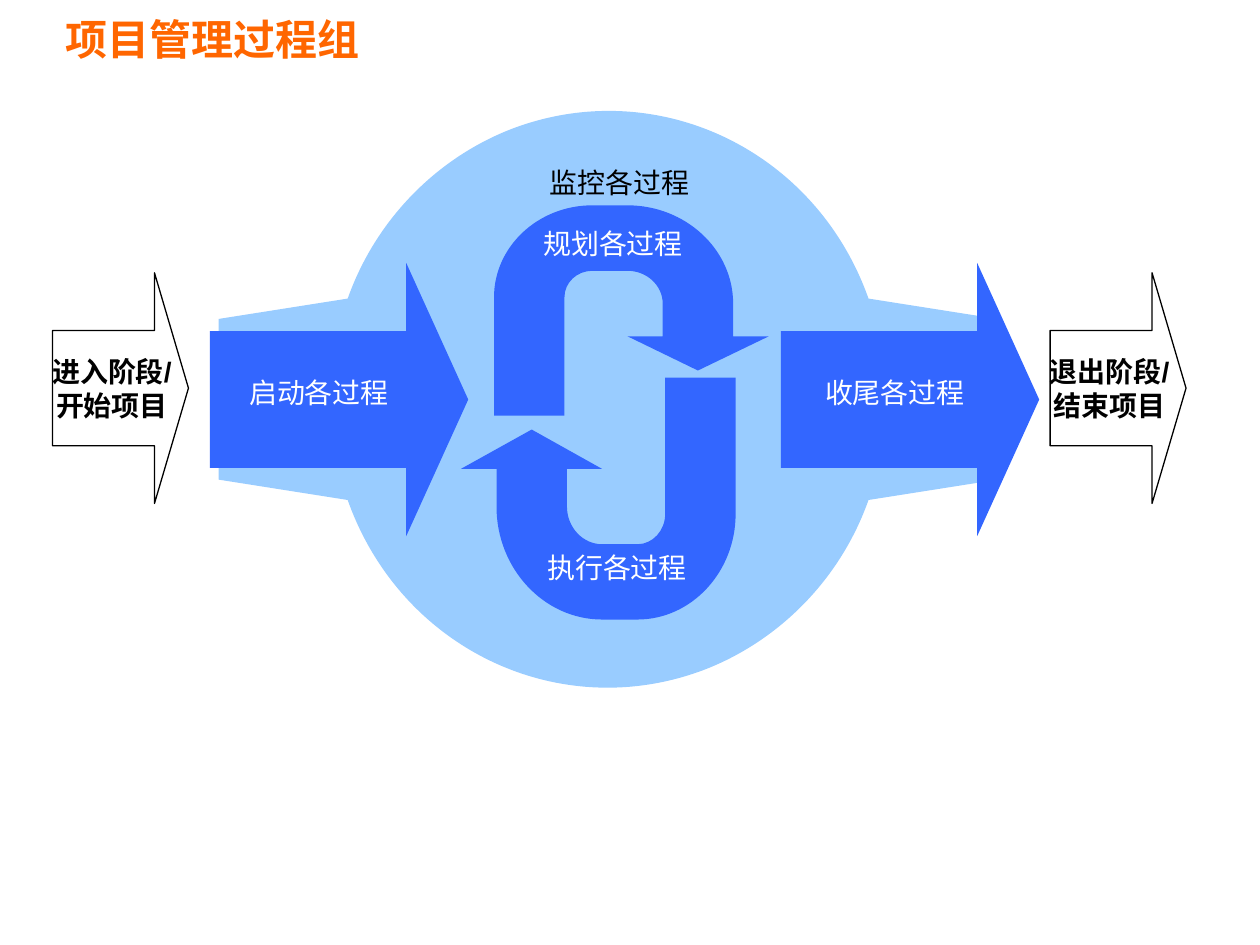
from lxml import etree
from pptx import Presentation
from pptx.dml.color import RGBColor
from pptx.enum.shapes import MSO_SHAPE
from pptx.enum.text import MSO_ANCHOR, PP_ALIGN
from pptx.oxml.ns import qn
from pptx.util import Cm, Pt

ARROW = MSO_SHAPE.RIGHT_ARROW
MIDDLE = MSO_ANCHOR.MIDDLE
CENTER, LEFT = PP_ALIGN.CENTER, PP_ALIGN.LEFT
ORANGE = RGBColor(0xFF, 0x66, 0x00)
BLUE = RGBColor(0x33, 0x66, 0xFF)
SKY = RGBColor(0x99, 0xCC, 0xFF)
WHITE = RGBColor(0xFF, 0xFF, 0xFF)
BLACK = RGBColor(0, 0, 0)
SANS, CJK = "Arial", "Noto Sans CJK SC"
ROUND = 0.55  # pull of a quarter bend towards its corner

# Content, lengths in cm
TITLE = "项目管理过程组"
GATES = [  # left edge, lines
    (1.06, ["进入阶段/", "开始项目"]),
    (21.17, ["退出阶段/", "结束项目"]),
]
STAGES = [4.23, 15.74]  # left edges of the blue arrows
HOOKS = [  # corner x, y and scale x, y
    (14.83, 12.49, -1, -1.15),
    (9.96, 4.14, 1, 1),
]
LABELS = [  # left, top, text, colour
    (5.02, 7.57, "启动各过程", WHITE),
    (16.63, 7.57, "收尾各过程", WHITE),
    (10.95, 4.57, "规划各过程", WHITE),
    (11.03, 11.1, "执行各过程", WHITE),
    (11.08, 3.34, "监控各过程", BLACK),
]

# Outlines: a step of one point is a line, of two (corner, end) a quarter
# bend, of three (control, control, end) a free curve
DISC = [  # upper half, about the middle
    [(5.25, -2.03)],
    [(4.18, -5.05), (0.95, -6.57), (-1.97, -5.44)],
    [(-3.47, -4.85), (-4.69, -3.61), (-5.25, -2.03)],
    [(-7.85, -1.62)],
    [(-7.85, 1.62)],
]
HOOK = [  # from the top left corner
    [(1.98, 1.32)],
    [(1.42, 1.32), (1.42, 1.85)],
    [(1.42, 4.24)],
    [(0, 4.24)],
    [(0, 1.85)],
    [(0, 0), (1.98, 0)],
    [(2.69, 0)],
    [(4.82, 0), (4.82, 1.98)],
    [(4.82, 2.64)],
    [(5.54, 2.64)],
    [(4.11, 3.33)],
    [(2.69, 2.64)],
    [(3.4, 2.64)],
    [(3.4, 1.98)],
    [(3.4, 1.32), (2.69, 1.32)],
]

deck = Presentation()
deck.slide_width, deck.slide_height = Cm(25.4), Cm(19.05)
slide = deck.slides.add_slide(deck.slide_layouts[5])
shapes = slide.shapes


def write(frame, lines, size, font, color, bold=False, align=CENTER):
    for i, line in enumerate(lines):
        para = frame.paragraphs[0] if i == 0 else frame.add_paragraph()
        para.alignment = align
        run = para.add_run()
        run.text = line
        run.font.size, run.font.bold = Pt(size), bold
        run.font.name = font
        run.font.color.rgb = color
        east = etree.SubElement(run.font._element, qn("a:ea"))
        east.set("typeface", CJK)


def paint(shape, color):
    shape.shadow.inherit = False
    shape.fill.solid()
    shape.fill.fore_color.rgb = color
    shape.line.fill.background()


def place(steps, x, y, sx=1, sy=1):
    return [[(x + sx * px, y + sy * py) for px, py in step] for step in steps]


def pull(start, corner):
    return tuple(s + ROUND * (c - s) for s, c in zip(start, corner))


def trace(steps, color):
    full, last = [], None
    for step in steps:
        if len(step) == 2:
            corner, end = step
            step = [pull(last, corner), pull(end, corner), end]
        full.append(step)
        last = step[-1]
    first, *rest = [(Cm(x), Cm(y)) for step in full for x, y in step]
    pen = shapes.build_freeform(*first, scale=1)
    pen.add_line_segments(rest, close=True)
    shape = pen.convert_to_shape()
    paint(shape, color)
    # Join each run of three points into one curve
    lines = iter(list(shape._element.iter(qn("a:lnTo"))))
    for step in full[1:]:
        group = [next(lines) for _ in step]
        if len(group) == 3:
            curve = etree.Element(qn("a:cubicBezTo"))
            group[0].addprevious(curve)
            for line in group:
                curve.append(line[0])
                line.getparent().remove(line)


def block(x, y, w, h, head):
    shape = shapes.add_shape(ARROW, Cm(x), Cm(y), Cm(w), Cm(h))
    shape.adjustments[0], shape.adjustments[1] = 0.5, head
    return shape


# Title
title = shapes.title
title.left, title.top = Cm(1.06), Cm(0)
title.width, title.height = Cm(11.63), Cm(1.57)
title.text_frame.vertical_anchor = MIDDLE
write(title.text_frame, [TITLE], 24, SANS, ORANGE, True, LEFT)

# Monitoring disc: the upper half, then the same turned half round
MID = (12.26, 8.05)
trace(place(DISC, *MID) + place(DISC, *MID, -1, -1), SKY)

# Start and close arrows
for x in STAGES:
    paint(block(x, 5.3, 5.21, 5.51, 0.24), BLUE)

# Plan and execute hooks: one outline, the other turned half round
for spot in HOOKS:
    trace(place(HOOK, *spot), BLUE)

# Process labels
for x, y, text, color in LABELS:
    frame = shapes.add_textbox(Cm(x), Cm(y), Cm(2.82), Cm(0.69)).text_frame
    frame.margin_left = frame.margin_right = 0
    frame.margin_top = frame.margin_bottom = 0
    frame.word_wrap = False
    write(frame, [text], 16, CJK, color)

# Entry and exit arrows
for x, lines in GATES:
    gate = block(x, 5.5, 2.74, 4.65, 0.25)
    gate.shadow.inherit = False
    gate.fill.background()
    gate.line.color.rgb = BLACK
    gate.line.width = Pt(0.75)
    gate.text_frame.word_wrap = False
    gate.text_frame.vertical_anchor = MIDDLE
    write(gate.text_frame, lines, 16, SANS, BLACK, True)

deck.save("out.pptx")
